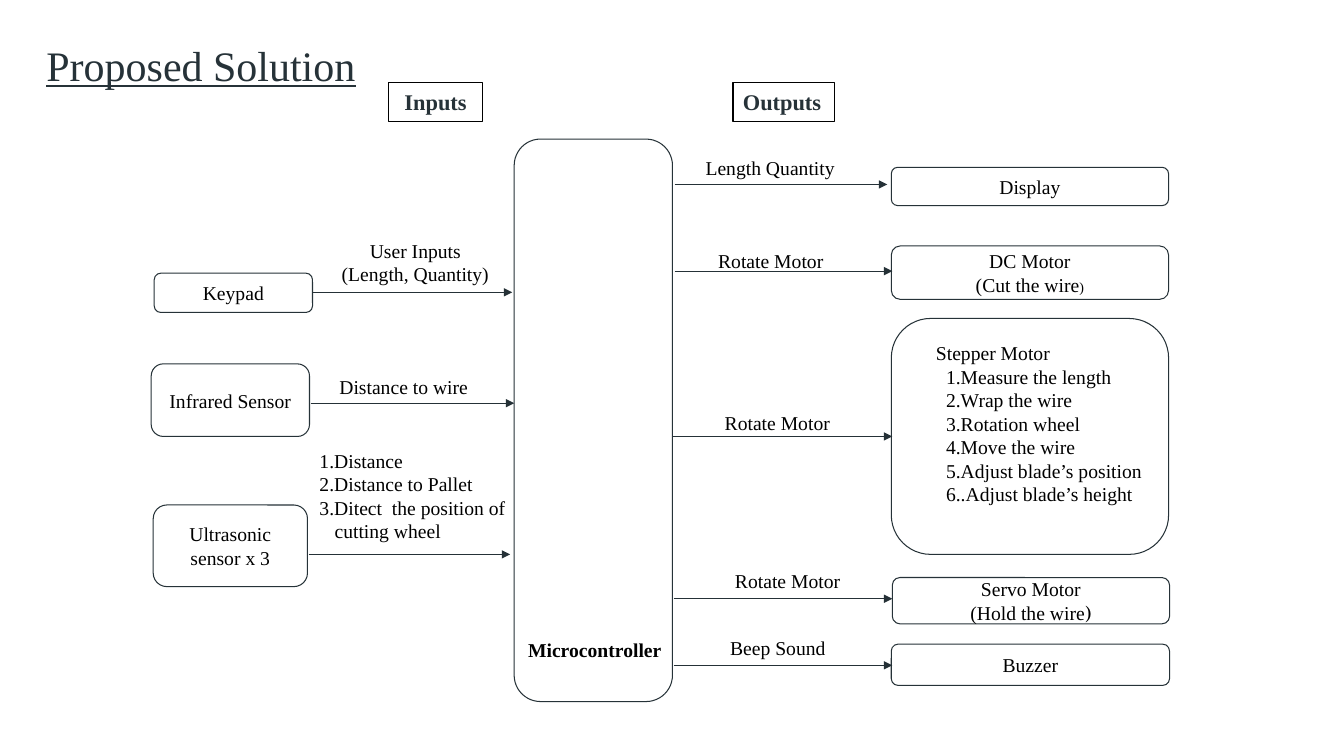
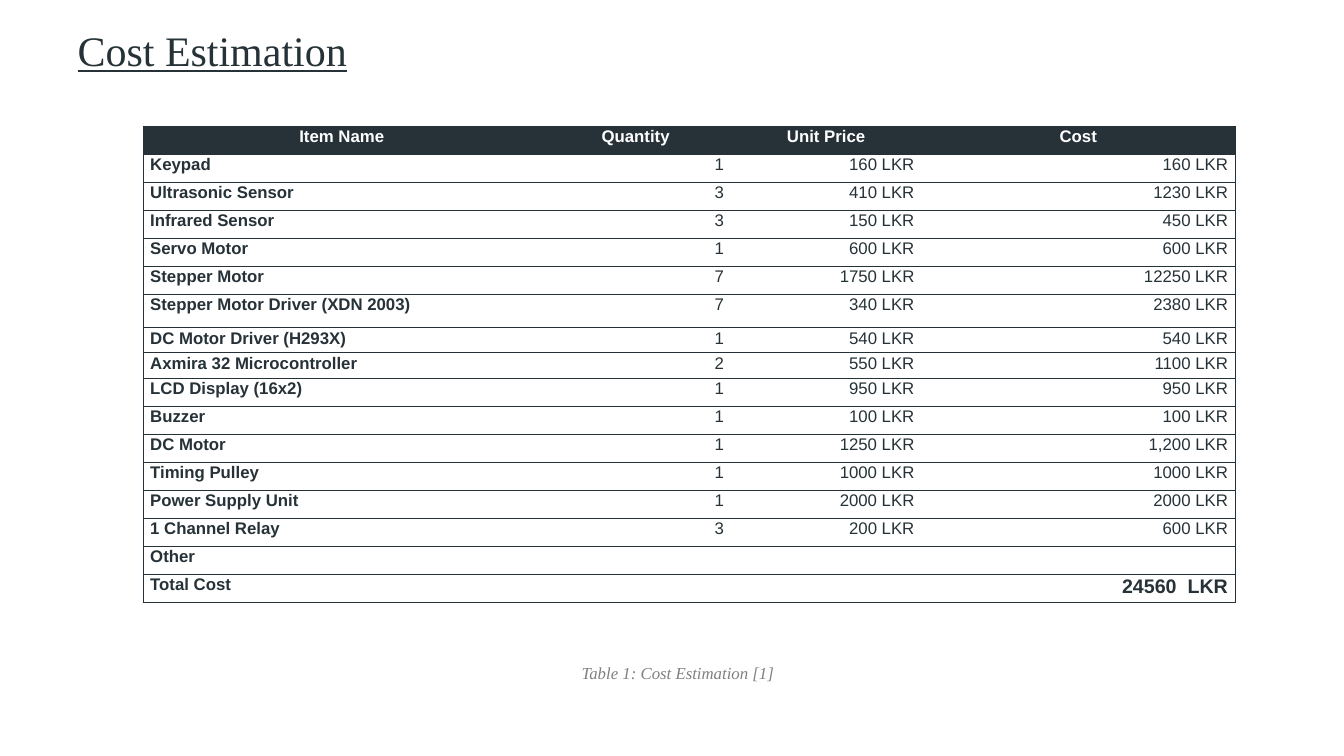
from lxml import etree
from pptx import Presentation
from pptx.dml.color import RGBColor
from pptx.enum.shapes import MSO_CONNECTOR, MSO_SHAPE
from pptx.enum.text import MSO_ANCHOR, PP_ALIGN
from pptx.oxml.ns import qn
from pptx.util import Inches, Pt

INK = RGBColor(0x26, 0x32, 0x38)
RULE = RGBColor(0x25, 0x31, 0x37)
BLACK = RGBColor(0, 0, 0)
WHITE = RGBColor(0xFF, 0xFF, 0xFF)
GRAY = RGBColor(0x80, 0x80, 0x80)
SERIF, SANS, SCHOLA = "Times New Roman", "Arial", "TeX Gyre Schola"
RULE_WIDTH = Pt(0.75)
NO_TABLE_STYLE = "{2D5ABB26-0587-4C30-8999-92F81FD0307C}"

LEFT, CENTER, RIGHT = PP_ALIGN.LEFT, PP_ALIGN.CENTER, PP_ALIGN.RIGHT
TOP, MIDDLE, BOTTOM = MSO_ANCHOR.TOP, MSO_ANCHOR.MIDDLE, MSO_ANCHOR.BOTTOM
RECT, ROUNDED = MSO_SHAPE.RECTANGLE, MSO_SHAPE.ROUNDED_RECTANGLE
STRAIGHT = MSO_CONNECTOR.STRAIGHT

# block box, block text, arrow (start, end, height)
INPUTS = [
    ((1.53, 2.71, 1.57, 0.39), "Keypad", (3.1, 5.08, 2.9)),
    ((1.5, 3.61, 1.57, 0.72), "Infrared Sensor", (3.08, 5.1, 4.0)),
    ((1.52, 5.01, 1.53, 0.81), "Ultrasonic sensor x 3", (3.06, 5.06, 5.5)),
]
# block box, block paragraphs, arrow (start, end, height)
OUTPUTS = [
    ((8.84, 1.66, 2.75, 0.38), ["Display"], (6.69, 8.8, 1.83)),
    ((8.84, 2.44, 2.75, 0.53),
     ["DC Motor", [("(Cut the wire", {}), (")", {"size": 10})]], (6.69, 8.85, 2.69)),
    ((8.85, 5.73, 2.75, 0.46),
     ["Servo Motor", [("(Hold the wire", {}), (")", {"font": SCHOLA})]],
     (6.68, 8.85, 5.94)),
    ((8.84, 6.39, 2.76, 0.41), ["Buzzer"], (6.68, 8.85, 6.6)),
]
# label box, text, alignment, bottom inset
OUTPUT_LABELS = [
    ((6.81, 1.42, 1.66, 0.49), "Length Quantity", CENTER, 0.05),
    ((6.89, 2.42, 1.51, 0.33), "Rotate Motor", CENTER, 0.05),
    ((6.85, 4.04, 1.72, 0.45), "Rotate Motor", CENTER, 0.2),
    ((7.17, 5.62, 1.91, 0.44), "Rotate Motor", LEFT, 0.2),
    ((6.84, 6.2, 1.75, 0.45), "Beep Sound", CENTER, 0.05),
]
STEPPER_TASKS = [
    "1.Measure the length", "2.Wrap the wire", "3.Rotation wheel",
    "4.Move the wire", "5.Adjust blade’s position", "6..Adjust blade’s height",
]

COLUMNS = [("Item Name", 3.94), ("Quantity", 1.89), ("Unit Price", 1.89), ("Cost", 3.11)]
ODD_ROW_HEIGHTS = {6: 0.33, 7: 0.25, 8: 0.25}
ITEMS = [
    ("Keypad", "1", "160 LKR", "160 LKR"),
    ("Ultrasonic Sensor", "3", "410 LKR", "1230 LKR"),
    ("Infrared Sensor", "3", "150 LKR", "450 LKR"),
    ("Servo Motor", "1", "600 LKR", "600 LKR"),
    ("Stepper Motor", "7", "1750 LKR", "12250 LKR"),
    ("Stepper Motor Driver (XDN 2003)", "7", "340 LKR", "2380 LKR"),
    ("DC Motor Driver (H293X)", "1", "540 LKR", "540 LKR"),
    ("Axmira 32 Microcontroller", "2", "550 LKR", "1100 LKR"),
    ("LCD Display (16x2)", "1", "950 LKR", "950 LKR"),
    ("Buzzer", "1", "100 LKR", "100 LKR"),
    ("DC Motor", "1", "1250 LKR", "1,200 LKR"),
    ("Timing Pulley", "1", "1000 LKR", "1000 LKR"),
    ("Power Supply Unit", "1", "2000 LKR", "2000 LKR"),
    ("1 Channel Relay", "3", "200 LKR", "600 LKR"),
    ("Other", "", "", ""),
    ("Total Cost", "", "", "24560  LKR"),
]


def inches(box):
    return [Inches(v) for v in box]


def add_run(p, text, size=14, font=SERIF, color=BLACK, bold=False, italic=False,
            underline=False):
    r = p.add_run()
    r.text = text
    f = r.font
    f.size, f.name, f.color.rgb = Pt(size), font, color
    f.bold, f.italic, f.underline = bold, italic, underline


def write(tf, paragraphs, align=CENTER, anchor=MIDDLE, indents=None, **style):
    """Fill a text frame; a paragraph is a string or a list of (text, style) runs."""
    tf.word_wrap = True
    tf.vertical_anchor = anchor
    for i, runs in enumerate(paragraphs):
        p = tf.paragraphs[0] if i == 0 else tf.add_paragraph()
        p.alignment = align
        if indents:
            pPr = p._p.get_or_add_pPr()
            pPr.set("marL", str(Inches(indents[i])))
            pPr.set("indent", "0")
        for text, extra in [(runs, {})] if isinstance(runs, str) else runs:
            add_run(p, text, **{**style, **extra})


def add_title(s, text, left, top):
    title = s.shapes.title
    title.left, title.top, title.width, title.height = inches((left, top, 8.44, 0.84))
    tf = title.text_frame
    tf.margin_left = tf.margin_right = tf.margin_top = tf.margin_bottom = Inches(0.1)
    write(tf, [text], LEFT, BOTTOM, size=30, color=INK, underline=True)


def add_block(s, box, paragraphs=(), kind=ROUNDED, line=INK, **style):
    """Add an unfilled shape with text; without a line colour it has no outline."""
    sp = s.shapes.add_shape(kind, *inches(box))
    sp.shadow.inherit = False
    sp.fill.background()
    if line is None:
        sp.line.fill.background()
    else:
        sp.line.color.rgb, sp.line.width = line, RULE_WIDTH
    write(sp.text_frame, paragraphs, **style)
    return sp


def add_text(s, box, paragraphs, **style):
    write(s.shapes.add_textbox(*inches(box)).text_frame, paragraphs, **style)


def add_heading(s, box, text, align):
    add_block(s, box, [text], RECT, BLACK, align=align, anchor=TOP,
              size=16, color=INK, bold=True)


def add_arrow(s, start, end, y):
    cxn = s.shapes.add_connector(STRAIGHT, *inches((start, y, end, y)))
    cxn.line.color.rgb, cxn.line.width = RULE, RULE_WIDTH
    etree.SubElement(cxn.line._get_or_add_ln(), qn("a:tailEnd"), type="triangle")
    etree.SubElement(cxn._element.spPr, qn("a:effectLst"))


def add_hub(s, box):
    left, top, width, height = box
    hub = add_block(s, box)
    hub.fill.solid()
    hub.fill.fore_color.rgb = WHITE
    add_text(s, (left - 0.02, top + height - 0.81, width + 0.07, 0.6),
             ["Microcontroller"], bold=True)


def add_inputs(s):
    add_heading(s, (3.85, 0.82, 0.94, 0.39), "Inputs", CENTER)
    for box, text, arrow in INPUTS:
        add_block(s, box, [text])
        add_arrow(s, *arrow)
    add_text(s, (3.22, 1.98, 1.8, 1.24), ["User Inputs (Length, Quantity)"])
    add_text(s, (3.22, 3.65, 1.57, 0.38), ["Distance to wire"])
    add_text(s, (3.07, 4.17, 2.12, 1.49),
             ["1.Distance", "2.Distance to Pallet", "3.Ditect  the position of",
              "cutting wheel"], align=LEFT, indents=[0, 0, 0, 0.15])


def add_stepper(s, box):
    sp = add_block(s, box, ["Stepper Motor"] + STEPPER_TASKS, align=LEFT,
                   indents=[0.23] + [0.33] * len(STEPPER_TASKS))
    sp.text_frame.margin_bottom = Inches(0.31)
    add_arrow(s, 6.67, box[0] + 0.01, box[1] + box[3] / 2)


def add_outputs(s):
    add_heading(s, (7.27, 0.82, 1.01, 0.39), "Outputs", LEFT)
    for box, paragraphs, arrow in OUTPUTS:
        add_block(s, box, paragraphs)
        add_arrow(s, *arrow)
    add_stepper(s, (8.84, 3.16, 2.75, 2.34))
    for box, text, align, inset in OUTPUT_LABELS:
        label = add_block(s, box, [text], line=None, align=align)
        label.text_frame.margin_bottom = Inches(inset)


def set_borders(cell, sides):
    """Draw the given sides of a cell, in the order L, R, T, B."""
    tcPr = cell._tc.get_or_add_tcPr()
    for i, side in enumerate(sides):
        ln = etree.Element(qn("a:ln" + side), w=str(RULE_WIDTH))
        fill = etree.SubElement(ln, qn("a:solidFill"))
        etree.SubElement(fill, qn("a:srgbClr"), val=str(RULE))
        tcPr.insert(i, ln)


def fill_cell(cell, text, row, col):
    header, total = row == 0, row == len(ITEMS)
    cell.fill.solid()
    cell.fill.fore_color.rgb = INK if header else WHITE
    cell.margin_left = cell.margin_right = Inches(0.07)
    cell.margin_top = cell.margin_bottom = 0
    set_borders(cell, {0: "LTB", len(COLUMNS) - 1: "RTB"}.get(col, "TB"))
    p = cell.text_frame.paragraphs[0]
    p.alignment = CENTER if header else LEFT if col == 0 else RIGHT
    p.line_spacing = 1.07
    if text:
        add_run(p, text, 14 if total and col else 12, SANS, WHITE if header else INK,
                bold=header or total or col == 0)
    else:
        etree.SubElement(p._p, qn("a:endParaRPr"), sz="1200")


def add_cost_table(s, left, top, height):
    rows = [[name for name, _ in COLUMNS]] + ITEMS
    even = (height - sum(ODD_ROW_HEIGHTS.values())) / (len(rows) - len(ODD_ROW_HEIGHTS))
    width = sum(w for _, w in COLUMNS)
    table = s.shapes.add_table(len(rows), len(COLUMNS),
                               *inches((left, top, width, height))).table
    table.horz_banding = False
    table._tbl.tblPr.find(qn("a:tableStyleId")).text = NO_TABLE_STYLE
    for column, (_, w) in zip(table.columns, COLUMNS):
        column.width = Inches(w)
    for i, values in enumerate(rows):
        table.rows[i].height = Inches(ODD_ROW_HEIGHTS.get(i, even))
        for j, text in enumerate(values):
            fill_cell(table.cell(i, j), text, i, j)


def solution_slide(s):
    add_title(s, "Proposed Solution", 0.36, 0.15)
    add_hub(s, (5.1, 1.38, 1.57, 5.58))
    add_inputs(s)
    add_outputs(s)


def cost_slide(s):
    add_title(s, "Cost Estimation", 0.67, 0)
    add_cost_table(s, 1.42, 1.25, 4.73)
    add_text(s, (5.67, 6.53, 3.67, 0.3), ["Table 1: Cost Estimation [1]"],
             align=LEFT, anchor=TOP, size=12, color=GRAY, italic=True)


def main():
    prs = Presentation()
    prs.slide_width, prs.slide_height = Inches(13.33), Inches(7.5)
    title_only = prs.slide_layouts[5]
    for build in (solution_slide, cost_slide):
        build(prs.slides.add_slide(title_only))
    prs.save("out.pptx")


if __name__ == "__main__":
    main()
